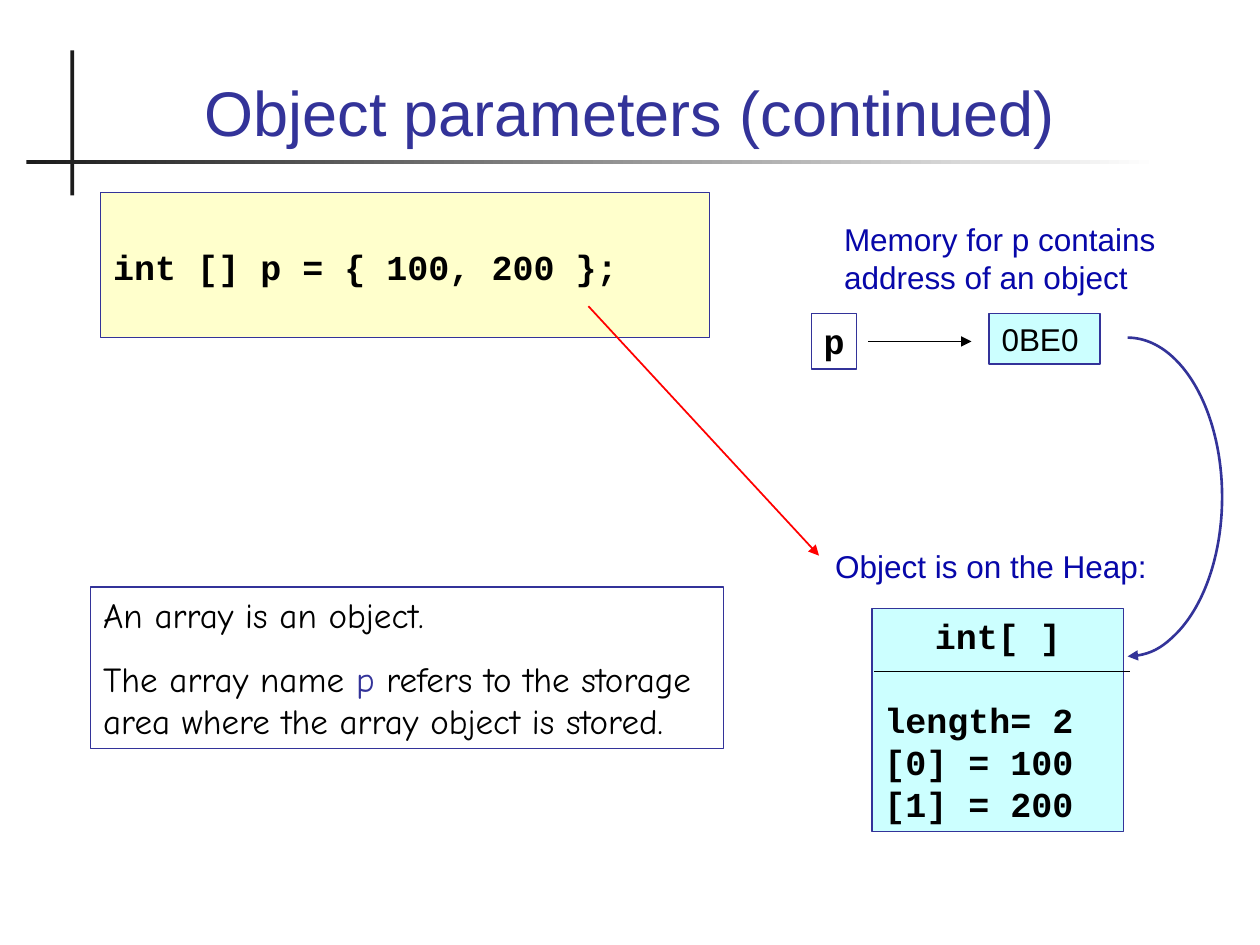
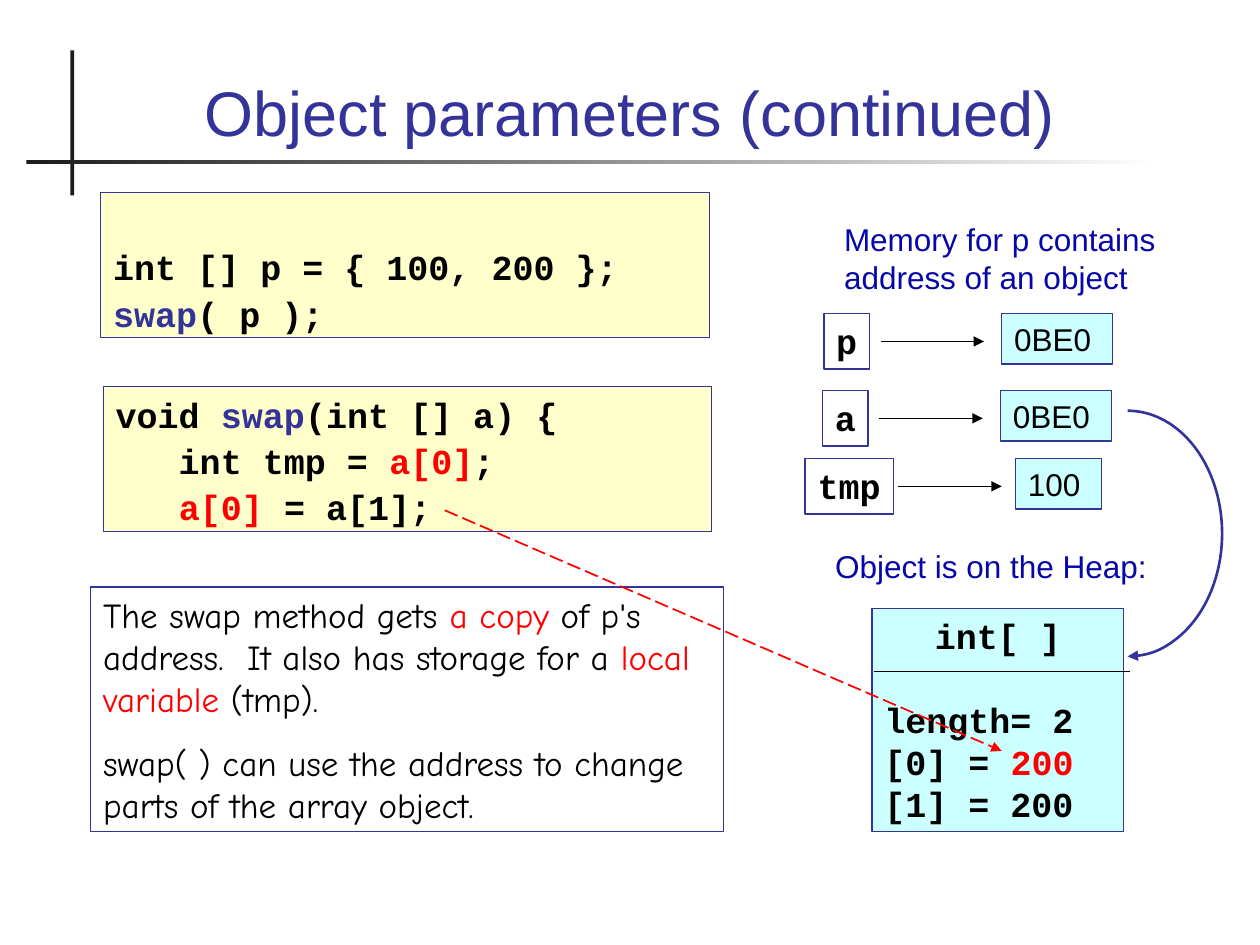
from dataclasses import dataclass

from lxml.etree import SubElement
from pptx import Presentation
from pptx.dml.color import RGBColor
from pptx.enum.dml import MSO_LINE_DASH_STYLE as Dash
from pptx.enum.shapes import MSO_CONNECTOR as Connector, MSO_SHAPE as Shape
from pptx.enum.text import MSO_ANCHOR as Anchor, PP_ALIGN as Align
from pptx.oxml.ns import qn
from pptx.util import Emu, Pt


@dataclass(frozen=True)
class Theme:
    ink: RGBColor = RGBColor(0, 0, 0)
    blue: RGBColor = RGBColor(0x33, 0x33, 0x99)
    label_blue: RGBColor = RGBColor(0x07, 0x07, 0xA9)
    red: RGBColor = RGBColor(0xFF, 0, 0)
    band: RGBColor = RGBColor(0x1C, 0x1C, 0x1C)
    white: RGBColor = RGBColor(0xFF, 0xFF, 0xFF)
    cream: RGBColor = RGBColor(0xFF, 0xFF, 0xCC)
    cyan: RGBColor = RGBColor(0xCC, 0xFF, 0xFF)
    sans: str = "Arial"
    comic: str = "Comic Neue"
    mono: str = "Courier New"
    title_size: int = 36
    code_size: int = 20
    label_size: int = 18


theme = Theme()
PX = 9144  # EMU per px, 100 px to the inch


def add_box(page, frame, lines, font, size, color=theme.ink, fill=None,
            outline=True, gap=0, align=Align.LEFT, side=10):
    """Add a text rectangle; a line is a list of strings or (string, colour) pairs."""
    box = page.shapes.add_shape(Shape.RECTANGLE, *(Emu(n * PX) for n in frame))
    box.shadow.inherit = False
    if fill:
        box.fill.solid()
        box.fill.fore_color.rgb = fill
    else:
        box.fill.background()
    if outline:
        box.line.color.rgb = theme.blue
        box.line.width = Pt(0.75)
    else:
        box.line.fill.background()
    text = box.text_frame
    text.word_wrap = True
    text.vertical_anchor = Anchor.TOP
    text.margin_left = text.margin_right = Emu(side * PX)
    text.margin_top = text.margin_bottom = Emu(5 * PX)
    for index, line in enumerate(lines):
        para = text.paragraphs[0] if index == 0 else text.add_paragraph()
        para.alignment = align
        para.line_spacing = Pt(size * 1.2)
        if index:
            para.space_before = Pt(gap)
        for part in line:
            words, tint = (part, color) if isinstance(part, str) else part
            span = para.add_run()
            span.text = words
            span.font.name = font
            span.font.size = Pt(size)
            span.font.bold = font == theme.mono
            span.font.color.rgb = tint
    return box


def style_line(shape, color, width, arrow=True, dash=None):
    shape.line.color.rgb = color
    shape.line.width = Pt(width)
    if dash:
        shape.line.dash_style = dash
    if arrow:
        SubElement(shape.get_or_add_ln(), qn("a:tailEnd"), type="triangle")
    SubElement(shape.element.spPr, qn("a:effectLst"))


declaration = ["int [] p = { 100, 200 };"]
slides = [
    dict(
        code=[(80, 153, 42, [declaration])],
        variables=[("p", 644, 249, 36, 689, "0BE0", 785, 88)],
        note_height=128,
        note=[
            ["An array is an object."],
            ["The array name ", ("p", theme.blue),
             " refers to the storage area where the array object is stored."],
        ],
        reference_top=268,
        first_element=["[0] = 100"],
        pointer=(467, 243, 650, 441),
        dash=None,
    ),
    dict(
        code=[
            (80, 153, 42, [declaration, [("swap", theme.blue), "( p );"]]),
            (82, 307, 5, [
                ["void ", ("swap", theme.blue), "(int [] a) {"],
                ["   int tmp = ", ("a[0]", theme.red), ";"],
                ["   ", ("a[0]", theme.red), " = a[1];"],
            ]),
        ],
        variables=[
            ("p", 654, 249, 36, 699, "0BE0", 795, 88),
            ("a", 653, 310, 36, 698, "0BE0", 794, 88),
            ("tmp", 639, 364, 70, 713, "100", 806, 68),
        ],
        note_height=194,
        note=[
            ["The swap method gets ", ("a copy", theme.red),
             " of p's address.  It also has storage for a ",
             ("local variable", theme.red), " (tmp)."],
            ["swap( ) can use the address to change parts of the array object."],
        ],
        reference_top=326,
        first_element=["[0] = ", ("200", theme.red)],
        pointer=(353, 405, 795, 596),
        dash=Dash.LONG_DASH,
    ),
]

deck = Presentation()
deck.slide_width, deck.slide_height = Emu(1000 * PX), Emu(750 * PX)

for content in slides:
    page = deck.slides.add_slide(deck.slide_layouts[6])

    # Crossing bands and title
    post = add_box(page, (56, 40, 3, 115), [], theme.sans, theme.label_size,
                   fill=theme.band, outline=False)
    rule = add_box(page, (21, 127, 899, 3), [], theme.sans, theme.label_size,
                   outline=False)
    rule.fill.gradient()
    rule.fill.gradient_angle = 0
    for stop, tint in zip(rule.fill.gradient_stops, (theme.band, theme.white)):
        stop.color.rgb = tint
    title = add_box(page, (67, 28, 866, 95), [["Object parameters (continued)"]],
                    theme.sans, theme.title_size, theme.blue, outline=False,
                    align=Align.CENTER)
    title.text_frame.vertical_anchor = Anchor.BOTTOM

    # Code and explanation
    for left, top, inset, lines in content["code"]:
        code = add_box(page, (left, top, 483, 115), lines, theme.mono,
                       theme.code_size, fill=theme.cream, gap=2.5)
        code.text_frame.margin_top = Emu(inset * PX)
        code.text_frame.margin_bottom = 0
    add_box(page, (72, 466, 502, content["note_height"]), content["note"],
            theme.comic, theme.code_size, gap=12.5)

    # Variables and their values
    for frame, label in (
        ((660, 170, 291, 70), "Memory for p contains address of an object"),
        ((653, 429, 282, 40), "Object is on the Heap:"),
    ):
        add_box(page, frame, [[label]], theme.sans, theme.label_size,
                theme.label_blue, outline=False)
    for name, left, top, width, start, value, value_left, value_width in content["variables"]:
        add_box(page, (left, top, width, 44), [[name]], theme.mono,
                theme.code_size, align=Align.CENTER, side=0)
        add_box(page, (value_left, top, value_width, 40), [[value]], theme.sans,
                theme.label_size, fill=theme.cyan)
        ends = (start, top + 22, start + 82, top + 22)
        arrow = page.shapes.add_connector(Connector.STRAIGHT, *(Emu(n * PX) for n in ends))
        style_line(arrow, theme.ink, 0.75)

    # Array object on the heap
    heap = add_box(page, (692, 483, 200, 177),
                   [["int[ ]"], ["length= 2"], content["first_element"], ["[1] = 200"]],
                   theme.mono, theme.code_size, fill=theme.cyan)
    heading, length = heap.text_frame.paragraphs[:2]
    heading.alignment = Align.CENTER
    length.space_before = Pt(24)
    divider = page.shapes.add_connector(
        Connector.STRAIGHT, *(Emu(n * PX) for n in (694, 533, 897, 533)))
    style_line(divider, theme.ink, 0.75, arrow=False)

    # Reference from the variable to the array
    top = content["reference_top"]
    reference = page.shapes.add_shape(
        Shape.ARC, *(Emu(n * PX) for n in (820, top, 150, 521 - top)))
    reference.adjustments[1] = 54  # quarter turn: the arc ends at the bottom
    reference.fill.background()
    style_line(reference, theme.blue, 1.5)

    pointer = page.shapes.add_connector(
        Connector.STRAIGHT, *(Emu(n * PX) for n in content["pointer"]))
    style_line(pointer, theme.red, 1, dash=content["dash"])

deck.save("out.pptx")
